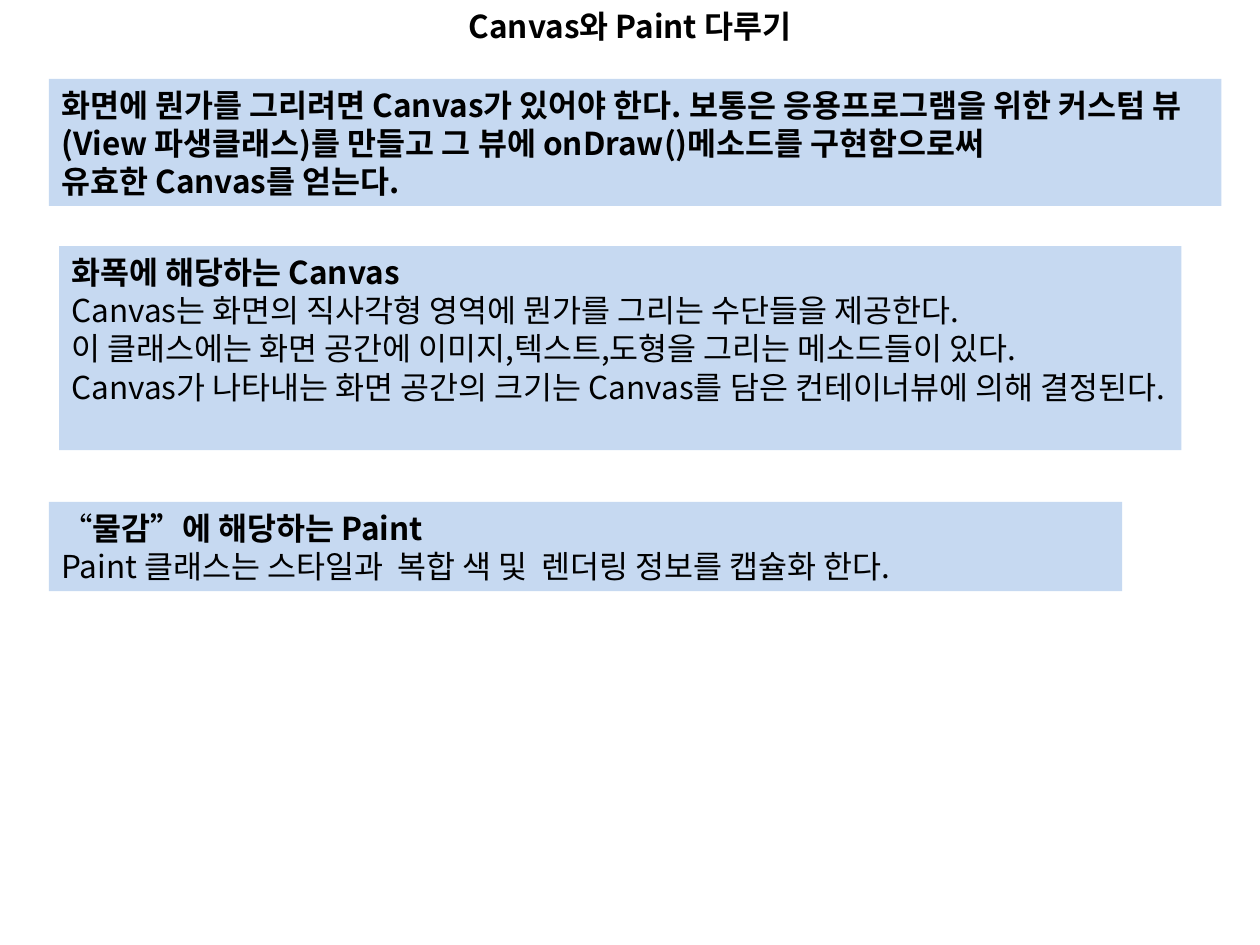
import pptx
import pptx.util
import pptx.dml.color
import pptx.enum.text
import lxml.etree
from pptx.oxml.ns import qn

Pt = pptx.util.Pt
RGB = pptx.dml.color.RGBColor
ALIGN = pptx.enum.text.PP_ALIGN

THEME = {
    "font": "Noto Sans CJK KR",
    "size": Pt(18),
    "leading": Pt(21.9),
    "ink": RGB(0, 0, 0),
    "panel": RGB(0xC6, 0xD9, 0xF1),
}

sections = [
    ((56, 0, 608, 28.8), None, ALIGN.CENTER, [
        [("Canvas와 Paint 다루기", True)],
    ]),
    ((28, 45, 670, 72.7), THEME["panel"], ALIGN.LEFT, [
        [("화면에 뭔가를 그리려면 Canvas가 있어야 한다. 보통은 응용프로그램을 위한 커스텀 "
          "뷰(View 파생클래스)를 만들고 그 뷰에 onDraw()메소드를 구현함으로써", True)],
        [("유효한 Canvas를 얻는다.", True)],
    ]),
    ((33.75, 140.6, 641.3, 116.6), THEME["panel"], ALIGN.LEFT, [
        [("화폭에 해당하는 Canvas", True)],
        [("Canvas는 화면의 직사각형 영역에 뭔가를 그리는 수단들을 제공한다.", False)],
        [("이 클래스에는 화면 공간에 이미지,텍스트,도형을 그리는 메소드들이 있다.", False)],
        [("Canvas가 나타내는 화면 공간의 크기는 Canvas를 담은 컨테이너뷰에 의해 결정된다.", False)],
    ]),
    ((28, 286.8, 613.3, 51), THEME["panel"], ALIGN.LEFT, [
        [("“", False), ("물감”에 해당하는 Paint", True)],
        [("Paint 클래스는 스타일과  복합 색 및  렌더링 정보를 캡슐화 한다.", False)],
    ]),
]

deck = pptx.Presentation()
deck.slide_width, deck.slide_height = Pt(720), Pt(540)
slide = deck.slides.add_slide(deck.slide_layouts[6])

for bounds, fill, alignment, paragraphs in sections:
    section = slide.shapes.add_textbox(*map(Pt, bounds))
    if fill is not None:
        section.fill.solid()
        section.fill.fore_color.rgb = fill
    body = section.text_frame
    frame_format = {
        "word_wrap": True,
        "auto_size": pptx.enum.text.MSO_AUTO_SIZE.SHAPE_TO_FIT_TEXT,
        "vertical_anchor": pptx.enum.text.MSO_ANCHOR.TOP,
    }
    for attribute, value in frame_format.items():
        setattr(body, attribute, value)
    for index, phrases in enumerate(paragraphs):
        line = body.add_paragraph() if index else body.paragraphs[0]
        line.alignment = alignment
        line.line_spacing = THEME["leading"]
        for wording, bold in phrases:
            phrase = line.add_run()
            phrase.text = wording
            phrase_format = {"name": THEME["font"], "size": THEME["size"], "bold": bold}
            for attribute, value in phrase_format.items():
                setattr(phrase.font, attribute, value)
            phrase.font.color.rgb = THEME["ink"]
            east_asian = lxml.etree.SubElement(phrase.font._element, qn("a:ea"))
            east_asian.set("typeface", THEME["font"])

deck.save("out.pptx")
